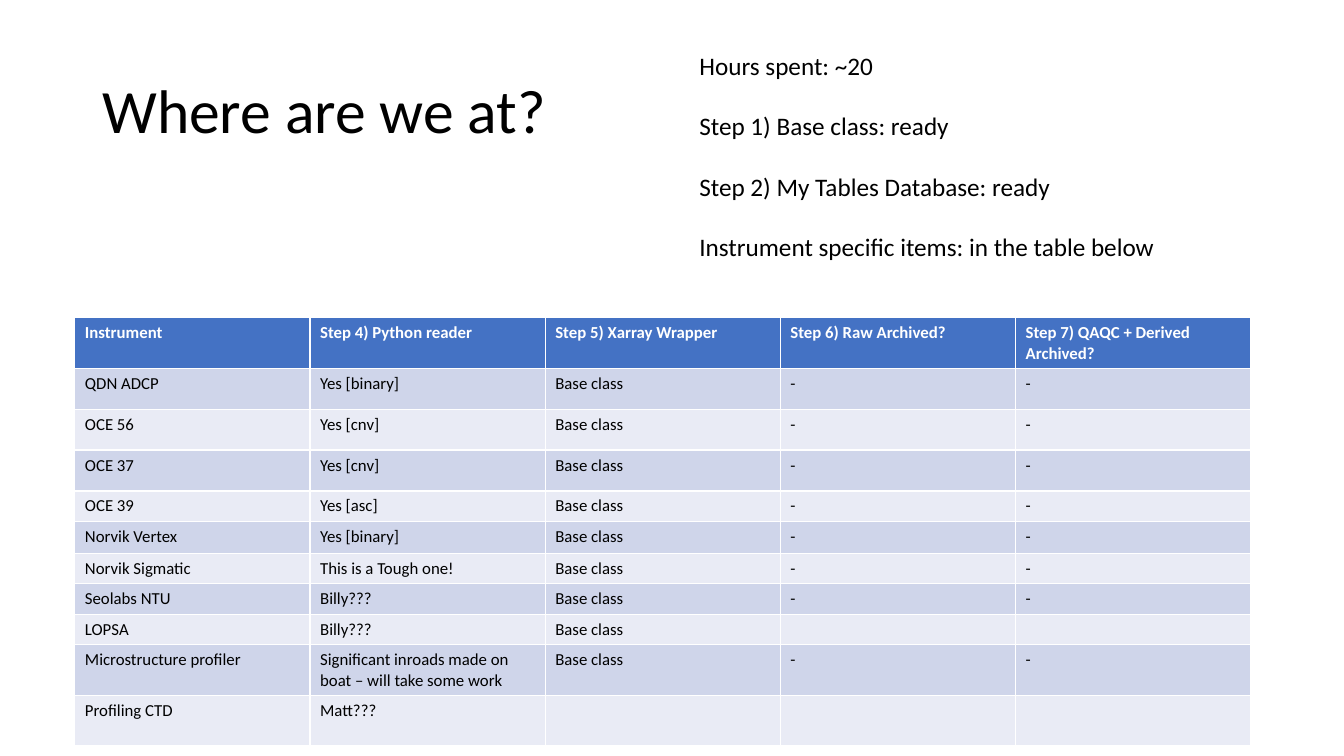
import pptx
import pptx.util
import pptx.dml.color
import pptx.enum.text
import pptx.oxml.ns
import lxml.etree

Pt = pptx.util.Pt
TITLE = "Where are we at?"
NOTES = [
    "Hours spent: ~20",
    "Step 1) Base class: ready",
    "Step 2) My Tables Database: ready",
    "Instrument specific items: in the table below",
]
HEAD = ["Instrument", "Step 4) Python reader", "Step 5) Xarray Wrapper",
        "Step 6) Raw Archived?", "Step 7) QAQC + Derived Archived?"]
BASE = "Base class"
ROWS = [
    ["QDN ADCP", "Yes [binary]", BASE, "-", "-"],
    ["OCE 56", "Yes [cnv]", BASE, "-", "-"],
    ["OCE 37", "Yes [cnv]", BASE, "-", "-"],
    ["OCE 39", "Yes [asc]", BASE, "-", "-"],
    ["Norvik Vertex", "Yes [binary]", BASE, "-", "-"],
    ["Norvik Sigmatic", "This is a Tough one!", BASE, "-", "-"],
    ["Seolabs NTU", "Billy???", BASE, "-", "-"],
    ["LOPSA", "Billy???", BASE, "", ""],
    ["Microstructure profiler",
     "Significant inroads made on boat – will take some work", BASE, "-", "-"],
    ["Profiling CTD", "Matt???", "", "", ""],
]
HIGH = [36, 29.25, 29.25, 29.25, 21.75, 22.75, 21.75, 21.75, 21.75, 36.25, 36.25]
WIDE = 168
BLUE, BANDS = "4472C4", ["E9EBF5", "CFD5EA"]


def tint(code):
    return pptx.dml.color.RGBColor.from_string(code)


def write(frame, lines, size, color="000000", bold=False, gap=0, lead=None):
    frame.word_wrap = True
    for i, line in enumerate(lines):
        para = frame.add_paragraph() if i else frame.paragraphs[0]
        if i and gap:
            para.space_before = Pt(gap)
        if lead:
            para.line_spacing = lead
        if line:
            run = para.add_run()
            run.text = line
            font = run.font
            font.name, font.size, font.bold = "Calibri", Pt(size), bold
            font.color.rgb = tint(color)
        else:
            end = lxml.etree.SubElement(para._p, pptx.oxml.ns.qn("a:endParaRPr"))
            end.set("sz", str(size * 100))


def box(slide, left, top, width, height):
    return slide.shapes.add_textbox(Pt(left), Pt(top), Pt(width), Pt(height)).text_frame


def main():
    deck = pptx.Presentation()
    deck.slide_width, deck.slide_height = Pt(960), Pt(540)
    slide = deck.slides.add_slide(deck.slide_layouts[6])

    title = box(slide, 66, 28.75, 828, 104.4)
    title.vertical_anchor = pptx.enum.text.MSO_ANCHOR.MIDDLE
    write(title, [TITLE], 44, lead=0.9)

    data = [HEAD] + ROWS
    grid = slide.shapes.add_table(len(data), len(HEAD), Pt(53.5), Pt(227),
                                  Pt(WIDE * len(HEAD)), Pt(sum(HIGH))).table
    for col in grid.columns:
        col.width = Pt(WIDE)
    for r, (row, high) in enumerate(zip(data, HIGH)):
        grid.rows[r].height = Pt(high)
        for c, word in enumerate(row):
            cell = grid.cell(r, c)
            cell.fill.solid()
            cell.fill.fore_color.rgb = tint(BANDS[r % 2] if r else BLUE)
            write(cell.text_frame, [word], 12, bold=r == 0,
                  color="000000" if r else "FFFFFF")

    write(box(slide, 492.5, 32.4, 343.5, 160), NOTES, 18, gap=21.6)
    deck.save("out.pptx")


if __name__ == "__main__":
    main()
